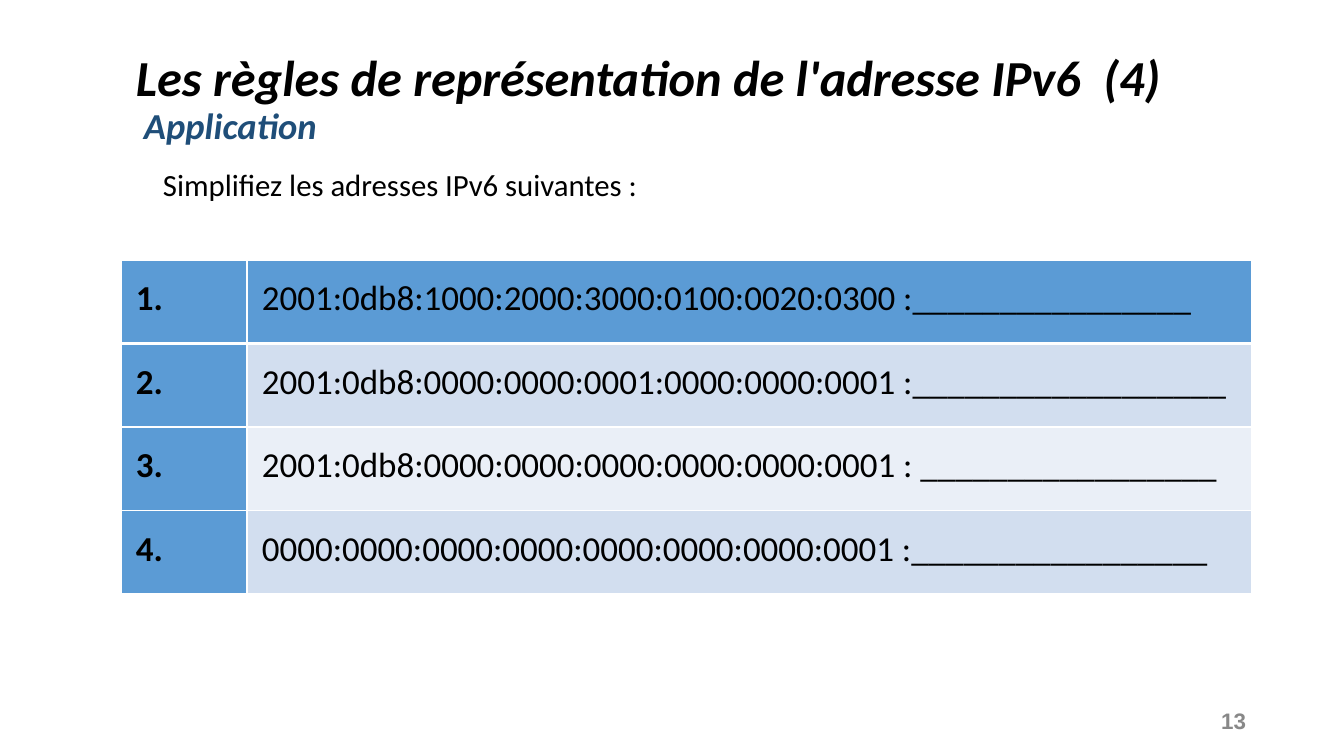
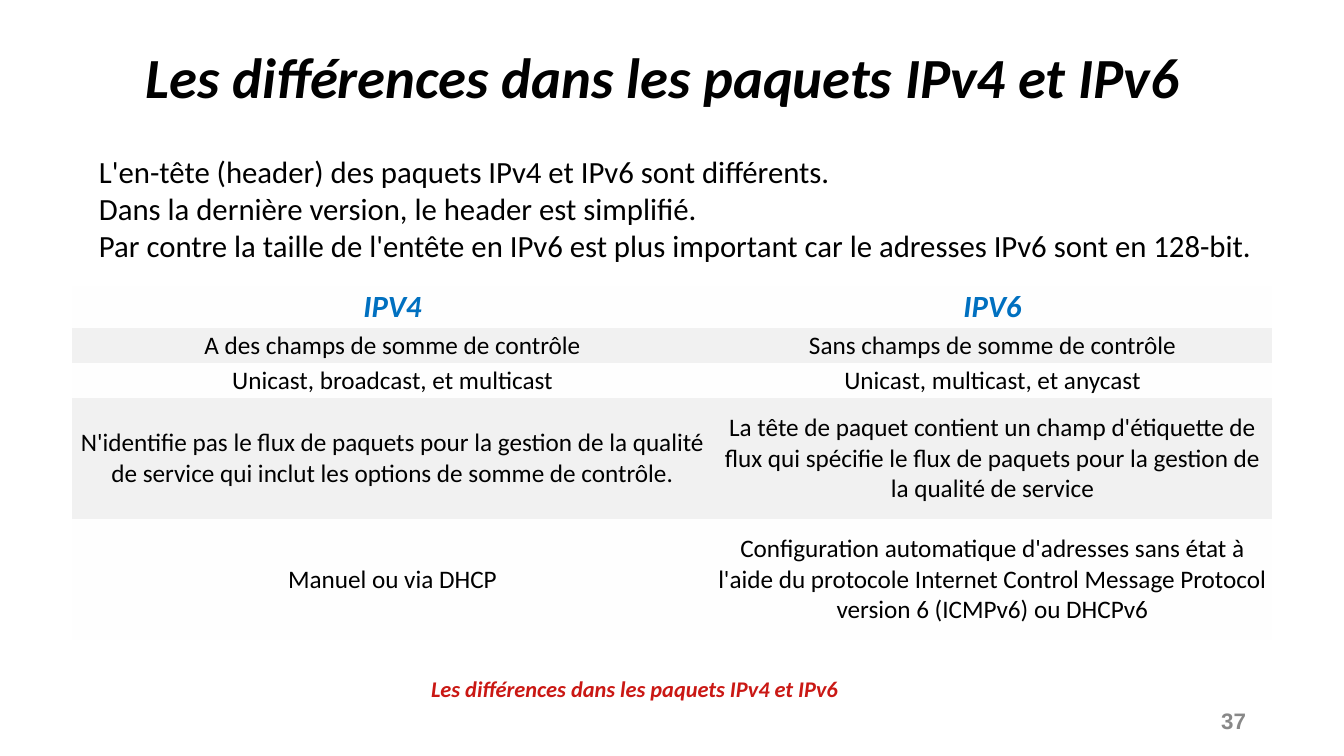
from dataclasses import dataclass

from lxml.etree import SubElement
from pptx import Presentation
from pptx.dml.color import RGBColor
from pptx.enum.text import MSO_ANCHOR, PP_ALIGN
from pptx.oxml.ns import qn
from pptx.slide import Slide
from pptx.table import Table, _Cell
from pptx.text.text import TextFrame
from pptx.util import Emu, Pt

SLIDE_WIDTH, SLIDE_HEIGHT = 1344, 756
EMU_PER_PX = 12192000 / SLIDE_WIDTH
PLAIN_TABLE_STYLE = "{2D5ABB26-0587-4C30-8999-92F81FD0307C}"

COLORS = {
    "black": "000000",
    "white": "FFFFFF",
    "navy": "1F4E79",
    "blue": "0070C0",
    "red": "CA1814",
    "page_gray": "888888",
    "accent": "5B9BD5",
    "accent_band": "D2DEEF",
    "accent_pale": "EAEFF7",
    "gray_band": "F1F1F1",
    "off_white": "FEFEFE",
}

BODY = {"name": "Calibri", "size": Pt(22), "bold": False, "italic": False}
STRONG = BODY | {"bold": True, "italic": True}
FORMATS = {
    "title": STRONG | {"size": Pt(36)},
    "large_title": STRONG | {"size": Pt(40.5)},
    "subtitle": STRONG | {"size": Pt(26.1)},
    "body": BODY,
    "caption": STRONG | {"size": Pt(16)},
    "page_number": {"name": "Arial", "size": Pt(16), "bold": True},
    "exercise_number": BODY | {"size": Pt(25), "bold": True},
    "exercise": BODY | {"size": Pt(25)},
    "header": STRONG,
    "comparison": BODY | {"size": Pt(18)},
}
FORMAT_COLORS = {
    "subtitle": "navy",
    "caption": "red",
    "page_number": "page_gray",
    "header": "blue",
}


@dataclass(frozen=True)
class Box:
    left: int
    top: int
    width: int
    height: int

    def emu(self) -> tuple[Emu, ...]:
        return tuple(px(n) for n in (self.left, self.top, self.width, self.height))


@dataclass(frozen=True)
class Line:
    text: str
    style: str
    indent: int = 0


@dataclass(frozen=True)
class Margins:
    left: int
    top: int
    right: int
    bottom: int


@dataclass(frozen=True)
class Exercise:
    address: str
    blank: str
    fill: str


PAGE_NUMBER_BOX = Box(1213, 688, 38, 65)
TEXT_MARGINS = Margins(10, 5, 10, 5)
TIGHT_MARGINS = Margins(5, 5, 5, 5)
EXERCISE_MARGINS = Margins(15, 2, 5, 8)
COMPARISON_MARGINS = Margins(2, 2, 2, 2)

EXERCISES = [
    Exercise("2001:0db8:1000:2000:3000:0100:0020:0300", "_" * 16, "accent"),
    Exercise("2001:0db8:0000:0000:0001:0000:0000:0001", "_" * 18, "accent_band"),
    Exercise("2001:0db8:0000:0000:0000:0000:0000:0001", " " + "_" * 17, "accent_pale"),
    Exercise("0000:0000:0000:0000:0000:0000:0000:0001", "_" * 17, "accent_band"),
]

COMPARISON_ROW_HEIGHTS = [42, 35, 35, 121, 121]
COMPARISON = [
    (["IPV4"], ["IPV6"]),
    (["A des champs de somme de contrôle"], ["Sans champs de somme de contrôle"]),
    (["Unicast, broadcast, et multicast"], ["Unicast, multicast, et anycast"]),
    (
        [
            "N'identifie pas le flux de paquets pour la gestion de la qualité "
            "de service qui inclut les options de somme de contrôle."
        ],
        [
            "La tête de paquet contient un champ d'étiquette de",
            "flux qui spécifie le flux de paquets pour la gestion de",
            "la qualité de service",
        ],
    ),
    (
        ["Manuel ou via DHCP"],
        [
            "Configuration automatique d'adresses sans état à",
            "l'aide du protocole Internet Control Message Protocol",
            "version 6 (ICMPv6) ou DHCPv6",
        ],
    ),
]


def px(length: int) -> Emu:
    return Emu(round(length * EMU_PER_PX))


def color(name: str) -> RGBColor:
    return RGBColor.from_string(COLORS[name])


def write_lines(
    frame: TextFrame,
    lines: list[Line],
    alignment: PP_ALIGN = PP_ALIGN.LEFT,
    spacing: float = 1.0,
) -> None:
    for index, line in enumerate(lines):
        paragraph = frame.add_paragraph() if index else frame.paragraphs[0]
        paragraph.alignment = alignment
        paragraph.line_spacing = spacing
        if line.indent:
            paragraph._p.get_or_add_pPr().set("marL", str(px(line.indent)))
        run = paragraph.add_run()
        run.text = line.text
        for attribute, value in FORMATS[line.style].items():
            setattr(run.font, attribute, value)
        run.font.color.rgb = color(FORMAT_COLORS.get(line.style, "black"))


def set_margins(target: TextFrame | _Cell, margins: Margins) -> None:
    for side in ("left", "top", "right", "bottom"):
        setattr(target, f"margin_{side}", px(getattr(margins, side)))


def add_text(
    slide: Slide,
    box: Box,
    lines: list[Line],
    margins: Margins = TEXT_MARGINS,
    anchor: MSO_ANCHOR = MSO_ANCHOR.TOP,
    alignment: PP_ALIGN = PP_ALIGN.LEFT,
    spacing: float = 1.0,
) -> None:
    frame = slide.shapes.add_textbox(*box.emu()).text_frame
    frame.word_wrap = True
    frame.vertical_anchor = anchor
    set_margins(frame, margins)
    write_lines(frame, lines, alignment, spacing)


def add_title(slide: Slide, box: Box, lines: list[Line]) -> None:
    add_text(slide, box, lines, margins=TIGHT_MARGINS, spacing=0.9)


def add_numbered_slide(presentation: Presentation, number: int) -> Slide:
    slide = presentation.slides.add_slide(presentation.slide_layouts[6])
    add_text(
        slide,
        PAGE_NUMBER_BOX,
        [Line(str(number), "page_number")],
        TIGHT_MARGINS,
        MSO_ANCHOR.MIDDLE,
        PP_ALIGN.RIGHT,
    )
    return slide


def add_plain_table(slide: Slide, box: Box, rows: int, widths: list[int]) -> Table:
    """Add a table without style; its rows share the height of the box."""
    table = slide.shapes.add_table(rows, len(widths), *box.emu()).table
    table.first_row = table.horz_banding = False
    table._tbl.tblPr.find(qn("a:tableStyleId")).text = PLAIN_TABLE_STYLE
    for column, width in zip(table.columns, widths):
        column.width = px(width)
    return table


def fill_cell(
    cell: _Cell,
    lines: list[Line],
    fill: str,
    margins: Margins,
    alignment: PP_ALIGN = PP_ALIGN.LEFT,
) -> None:
    cell.vertical_anchor = MSO_ANCHOR.MIDDLE
    set_margins(cell, margins)
    write_lines(cell.text_frame, lines, alignment)
    cell.fill.solid()
    cell.fill.fore_color.rgb = color(fill)


def add_borders(cell: _Cell, top: int, bottom: int) -> None:
    """Draw white borders; top and bottom are widths in points."""
    properties = cell._tc.get_or_add_tcPr()
    widths = {"lnL": 1, "lnR": 1, "lnT": top, "lnB": bottom}
    for position, (tag, width) in enumerate(widths.items()):
        border = SubElement(properties, qn(f"a:{tag}"), w=str(Pt(width)))
        solid = SubElement(border, qn("a:solidFill"))
        SubElement(solid, qn("a:srgbClr"), val=COLORS["white"])
        properties.insert(position, border)


def build_exercise_slide(presentation: Presentation) -> None:
    slide = add_numbered_slide(presentation, 13)
    add_title(
        slide,
        Box(131, 48, 1160, 110),
        [
            Line("Les règles de représentation de l'adresse IPv6  (4)", "title"),
            Line("Application", "subtitle", indent=8),
        ],
    )
    add_text(
        slide,
        Box(153, 161, 672, 48),
        [Line("Simplifiez les adresses IPv6 suivantes :", "body")],
    )
    table = add_plain_table(
        slide, Box(121, 260, 1131, 334), len(EXERCISES), [126, 1005]
    )
    for row, exercise in enumerate(EXERCISES):
        question = f"{exercise.address} :{exercise.blank}"
        contents = [
            (Line(f"{row + 1}.", "exercise_number"), "accent"),
            (Line(question, "exercise"), exercise.fill),
        ]
        for column, (line, fill) in enumerate(contents):
            cell = table.cell(row, column)
            fill_cell(cell, [line], fill, EXERCISE_MARGINS)
            add_borders(cell, top=3 if row == 1 else 1, bottom=3 if row == 0 else 1)


def build_comparison_slide(presentation: Presentation) -> None:
    heading = "Les différences dans les paquets IPv4 et IPv6"
    slide = add_numbered_slide(presentation, 37)
    add_title(slide, Box(141, 45, 1190, 80), [Line(heading, "large_title")])
    introduction = [
        "L'en-tête (header) des paquets IPv4 et IPv6 sont différents.",
        "Dans la dernière version, le header est simplifié.",
        "Par contre la taille de l'entête en IPv6 est plus important "
        "car le adresses IPv6 sont en 128-bit.",
    ]
    add_text(
        slide, Box(89, 148, 1220, 122), [Line(text, "body") for text in introduction]
    )
    table = add_plain_table(
        slide,
        Box(72, 286, 1200, sum(COMPARISON_ROW_HEIGHTS)),
        len(COMPARISON),
        [641, 559],
    )
    for row, (height, texts) in enumerate(zip(COMPARISON_ROW_HEIGHTS, COMPARISON)):
        table.rows[row].height = px(height)
        style = "comparison" if row else "header"
        fill = "gray_band" if row % 2 else "off_white"
        for column, cell_texts in enumerate(texts):
            lines = [Line(text, style) for text in cell_texts]
            cell = table.cell(row, column)
            fill_cell(cell, lines, fill, COMPARISON_MARGINS, PP_ALIGN.CENTER)
    add_text(slide, Box(421, 670, 717, 37), [Line(heading, "caption")])


def main() -> None:
    presentation = Presentation()
    presentation.slide_width = px(SLIDE_WIDTH)
    presentation.slide_height = px(SLIDE_HEIGHT)
    build_exercise_slide(presentation)
    build_comparison_slide(presentation)
    presentation.save("out.pptx")


if __name__ == "__main__":
    main()
